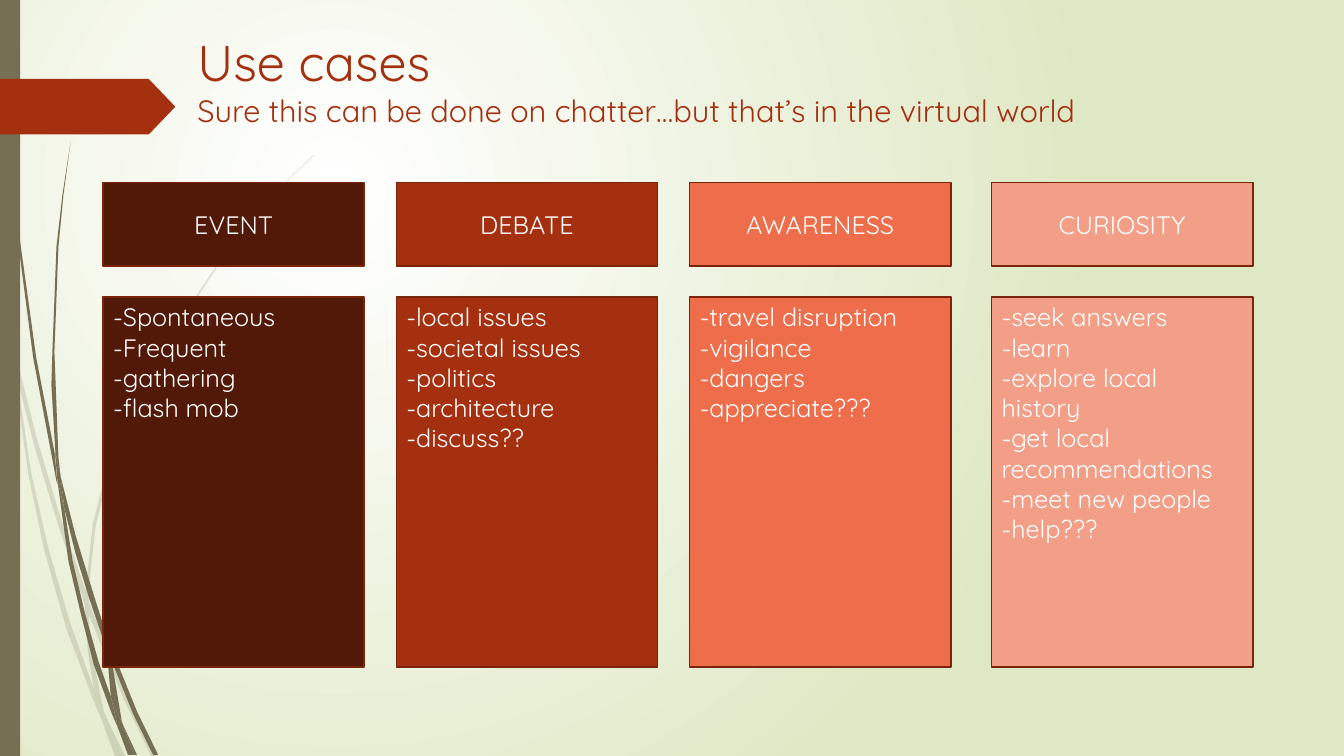
from lxml.etree import SubElement
from pptx import Presentation
from pptx.dml.color import RGBColor
from pptx.enum.shapes import MSO_SHAPE
from pptx.enum.text import MSO_ANCHOR, MSO_AUTO_SIZE, PP_ALIGN
from pptx.oxml.ns import qn
from pptx.util import Cm, Pt

FONT = "Quicksand"
WHITE = RGBColor(0xFF, 0xFF, 0xFF)
PALE_GREEN = RGBColor(0xDF, 0xE8, 0xC4)
OLIVE = RGBColor(0x76, 0x6F, 0x54)
RUST = RGBColor(0xA5, 0x30, 0x10)
BORDER = RGBColor(0x7A, 0x24, 0x0C)
MAROON = RGBColor(0x52, 0x18, 0x08)
CORAL = RGBColor(0xEE, 0x6E, 0x4B)
SALMON = RGBColor(0xF3, 0x9E, 0x87)

TITLE = [
    ("Use cases", 36),
    ("Sure this can be done on chatter…but that’s in the virtual world", 22),
]

# Left edge in cm, colour, heading, points
USE_CASES = [
    (2.6, MAROON, "EVENT",
     ["-Spontaneous", "-Frequent", "-gathering", "-flash mob"]),
    (9.99, RUST, "DEBATE",
     ["-local issues", "-societal issues", "-politics", "-architecture", "-discuss??"]),
    (17.38, CORAL, "AWARENESS",
     ["-travel disruption", "-vigilance", "-dangers", "-appreciate???"]),
    (24.99, SALMON, "CURIOSITY",
     ["-seek answers", "-learn", "-explore local history",
      "-get local recommendations", "-meet new people", "-help???"]),
]
CARD_WIDTH = 6.58
HEADING_TOP, HEADING_HEIGHT = 4.6, 2.11
BODY_TOP, BODY_HEIGHT = 7.48, 9.32

# Outlines of the grass blades, corner points in inches
PALE_GRASS = [
    [(.11, 3.5), (.09, 3.22), (0, 2.82), (0, 2.99), (.1, 3.44)],
    [(.58, 5.22), (.84, 5.99), (.85, 5.86), (.62, 5.2), (.36, 4.33), (.14, 3.45),
     (.17, 3.76), (.35, 4.46)],
    [(.92, 6.07), (.88, 5.96), (.88, 6.1), (1.23, 6.94), (1.5, 7.5), (1.55, 7.5),
     (1.27, 6.92)],
    [(1.19, 7.5), (1.24, 7.5), (1.05, 7.11)],
    [(.93, 6.83), (.7, 6.19), (.48, 5.44), (.31, 4.69), (.17, 3.76), (.11, 3.5),
     (.28, 4.7), (.44, 5.46), (.65, 6.21), (.92, 6.93), (1.01, 7.14), (.99, 7.07)],
    [(.84, 5.99), (.87, 6.46), (.93, 6.83), (.96, 6.92), (1.05, 7.11), (1.03, 7.06),
     (.91, 6.46), (.88, 6.1), (.88, 6.08)],
    [(.88, 5.84), (.95, 5.22), (1.1, 4.62), (1.32, 4.04), (1.6, 3.49), (2.29, 2.45),
     (2.68, 1.98), (2.9, 1.75), (3.12, 1.54), (3.12, 1.53), (2.89, 1.75), (2.68, 1.97),
     (2.28, 2.44), (1.58, 3.48), (1.29, 4.03), (1.07, 4.61), (.92, 5.21), (.85, 5.84),
     (.85, 5.86), (.88, 5.96)],
    [(1.01, 7.14), (1.14, 7.5), (1.19, 7.5)],
    [(.88, 6.08), (.88, 6.1), (.88, 5.96), (.85, 5.86), (.84, 5.99)],
    [(.96, 6.92), (.93, 6.83), (.99, 7.07), (1.01, 7.14), (1.19, 7.5), (1.05, 7.11)],
]
DARK_GRASS = [
    [(.07, 1.1), (.17, 2.33), (.33, 3.55), (.56, 4.77), (.57, 4.81), (.55, 4.57),
     (.55, 4.53), (.36, 3.55), (.19, 2.32), (.08, 1.09), (.05, .48), (.04, 0),
     (.03, 0), (.04, .48)],
    [(.88, 5.92), (1.06, 6.45), (1.06, 6.33), (1.06, 6.31), (.93, 5.9), (.75, 5.31),
     (.6, 4.72), (.64, 5.05), (.75, 5.49)],
    [(1.13, 6.49), (1.1, 6.41), (1.11, 6.56), (1.32, 7.08), (1.52, 7.49), (1.57, 7.49),
     (1.36, 7.06)],
    [(1.1, 6.91), (.98, 6.57), (.84, 6.07), (.72, 5.56), (.64, 5.05), (.57, 4.77),
     (.68, 5.57), (.8, 6.08), (.93, 6.59), (1.11, 7.08), (1.17, 7.22), (1.16, 7.17)],
    [(.6, 4.72), (.58, 4.53), (.54, 3.49), (.58, 2.45), (.63, 1.93), (.7, 1.41),
     (.62, 1.93), (.56, 2.45), (.52, 3.49), (.51, 3.82), (.55, 4.49)],
    [(1.33, 7.49), (1.36, 7.49), (1.22, 7.19)],
    [(.57, 4.77), (.64, 5.05), (.6, 4.72), (.55, 4.49), (.55, 4.53)],
    [(1.17, 7.22), (1.27, 7.49), (1.31, 7.49)],
    [(1.06, 6.45), (1.1, 6.91), (1.16, 7.06), (1.22, 7.19), (1.21, 7.16), (1.11, 6.56),
     (1.09, 6.51)],
    [(1.16, 7.06), (1.1, 6.91), (1.16, 7.17), (1.17, 7.22), (1.3, 7.49), (1.33, 7.49),
     (1.22, 7.19)],
]


def paint(shape, color, border=None):
    shape.shadow.inherit = False
    shape.fill.solid()
    shape.fill.fore_color.rgb = color
    if border is None:
        shape.line.fill.background()
    else:
        shape.line.color.rgb = border
        shape.line.width = Pt(1.25)


def add_preset(s, preset, box, color, border=None):
    shape = s.shapes.add_shape(preset, *map(Cm, box))
    paint(shape, color, border)
    return shape


def add_grass(s, outlines, opacity):
    """Group the blades, with opacity in percent."""
    grass = s.shapes.add_group_shape()
    for outline in outlines:
        points = [(Cm(2.54 * x), Cm(2.54 * y)) for x, y in outline]
        builder = grass.shapes.build_freeform(*points[0])
        builder.add_line_segments(points[1:], close=True)
        blade = builder.convert_to_shape()
        paint(blade, OLIVE)
        if opacity < 100:
            rgb = blade.element.spPr.find(qn("a:solidFill")).find(qn("a:srgbClr"))
            SubElement(rgb, qn("a:alpha"), val=str(opacity * 1000))


def format_run(r, size, color):
    for name, value in {"name": FONT, "size": Pt(size), "bold": False}.items():
        setattr(r.font, name, value)
    r.font.color.rgb = color


def add_card(s, box, color, lines, anchor, align):
    tf = add_preset(s, MSO_SHAPE.RECTANGLE, box, color, BORDER).text_frame
    tf.word_wrap = True
    tf.vertical_anchor = anchor
    for i, line in enumerate(lines):
        p = tf.paragraphs[0] if i == 0 else tf.add_paragraph()
        p.alignment = align
        r = p.add_run()
        r.text = line
        format_run(r, 18, WHITE)


def set_background(s):
    """Fill the slide with a circular gradient, white at upper left."""
    fill = s.background.fill
    fill.gradient()
    for stop, color, position in zip(fill.gradient_stops, (WHITE, PALE_GREEN), (0, 1)):
        stop.color.rgb = color
        stop.position = position
    grad = next(s.element.iter(qn("a:gradFill")))
    grad.remove(grad.find(qn("a:lin")))
    circle = SubElement(grad, qn("a:path"), path="circle")
    SubElement(circle, qn("a:fillToRect"), l="50000", t="50000", r="100000", b="100000")


def set_title(s):
    title = s.shapes.title
    box = {"left": 4.72, "top": 0.66, "width": 24.77, "height": 3.56}
    for name, value in box.items():
        setattr(title, name, Cm(value))
    tf = title.text_frame
    tf.word_wrap = True
    tf.auto_size = MSO_AUTO_SIZE.NONE
    tf.vertical_anchor = MSO_ANCHOR.TOP
    p = tf.paragraphs[0]
    p.alignment = PP_ALIGN.LEFT
    for i, (text, size) in enumerate(TITLE):
        if i:
            p.add_line_break()
        r = p.add_run()
        r.text = text
        format_run(r, size, RUST)
    title.element.getparent().append(title.element)  # bring to front


def main():
    prs = Presentation()
    prs.slide_width, prs.slide_height = Cm(33.87), Cm(19.05)
    s = prs.slides.add_slide(prs.slide_layouts[5])
    set_background(s)
    add_grass(s, PALE_GRASS, 20)
    add_grass(s, DARK_GRASS, 100)
    add_preset(s, MSO_SHAPE.RECTANGLE, (0, 0, 0.51, 19.05), OLIVE)
    arrow = add_preset(s, MSO_SHAPE.PENTAGON, (0, 1.99, 4.42, 1.4), RUST)
    arrow.adjustments[0] = 0.48
    for left, color, heading, points in USE_CASES:
        add_card(s, (left, HEADING_TOP, CARD_WIDTH, HEADING_HEIGHT), color,
                 [heading], MSO_ANCHOR.MIDDLE, PP_ALIGN.CENTER)
        add_card(s, (left, BODY_TOP, CARD_WIDTH, BODY_HEIGHT), color,
                 points, MSO_ANCHOR.TOP, PP_ALIGN.LEFT)
    set_title(s)
    prs.save("out.pptx")


if __name__ == "__main__":
    main()
